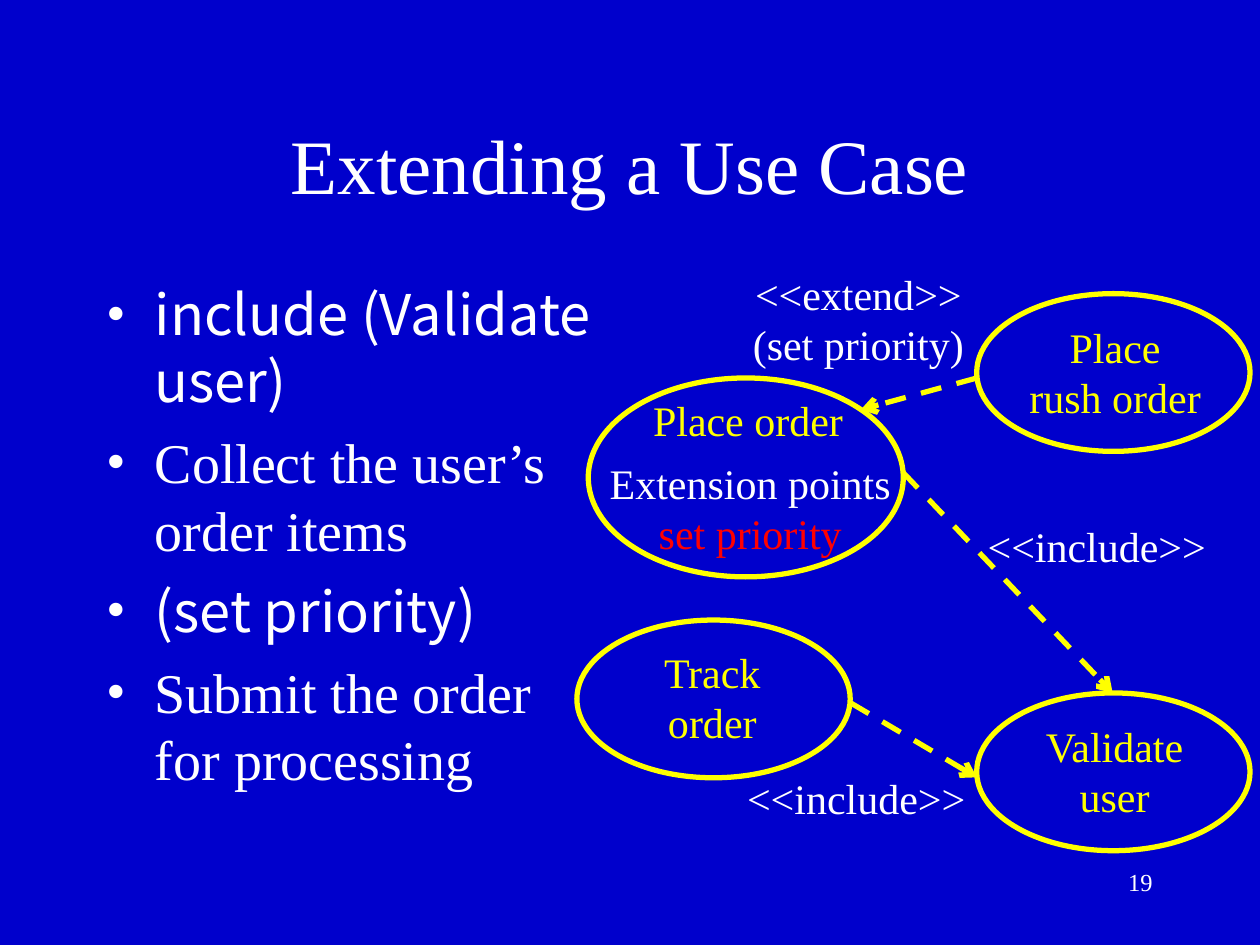
from lxml import etree
from pptx import Presentation
from pptx.dml.color import RGBColor
from pptx.enum.dml import MSO_LINE
from pptx.enum.shapes import MSO_CONNECTOR, MSO_SHAPE
from pptx.enum.text import MSO_ANCHOR, MSO_AUTO_SIZE, PP_ALIGN
from pptx.oxml.ns import qn
from pptx.util import Cm, Pt

LEFT, MID, RIGHT = PP_ALIGN.LEFT, PP_ALIGN.CENTER, PP_ALIGN.RIGHT
TOP, MIDDLE = MSO_ANCHOR.TOP, MSO_ANCHOR.MIDDLE
FIXED, GROW = MSO_AUTO_SIZE.NONE, MSO_AUTO_SIZE.SHAPE_TO_FIT_TEXT
OVAL, LINE, DASH = MSO_SHAPE.OVAL, MSO_CONNECTOR.STRAIGHT, MSO_LINE.DASH
HUES = {"back": "0000CC", "text": "FFFFFF", "case": "FFFF00", "point": "FF0000"}
SERIF, SANS = "Times New Roman", "Noto Sans CJK KR"


class Deck:
    """Draw use case elements on the current slide in one style."""

    def __init__(self):
        self.prs = Presentation()
        self.prs.slide_width, self.prs.slide_height = Cm(25.4), Cm(19.05)
        self.slide = self.prs.slides.add_slide(self.prs.slide_layouts[6])
        fill = self.slide.background.fill
        fill.solid()
        fill.fore_color.rgb = self.hue("back")

    def hue(self, name):
        return RGBColor.from_string(HUES[name])

    def pen(self, line):
        line.color.rgb = self.hue("case")
        line.width = Pt(3)

    def text(self, box, rows, size=24, align=MID, anchor=TOP, wrap=False, dots=False):
        frame = self.slide.shapes.add_textbox(*map(Cm, box)).text_frame
        frame.word_wrap = wrap
        frame.auto_size = FIXED if wrap else GROW
        frame.vertical_anchor = anchor
        for i, (words, hue, face) in enumerate(rows):
            para = frame.paragraphs[0] if i == 0 else frame.add_paragraph()
            if dots:
                self.dot(para)
                para.space_before = Pt(8 if i else 0)
            para.alignment = align
            para.line_spacing = Pt(round(size * 1.2, 1))
            run = para.add_run()
            run.text = words
            run.font.name = face
            run.font.size = Pt(size)
            run.font.color.rgb = self.hue(hue)

    def dot(self, para):
        props = para._p.get_or_add_pPr()
        props.set("marL", str(Cm(0.97)))
        props.set("indent", str(-Cm(0.97)))
        tint = etree.SubElement(props, qn("a:buClr"))
        etree.SubElement(tint, qn("a:srgbClr"), val=HUES["text"])
        etree.SubElement(props, qn("a:buFont"), typeface=SERIF)
        etree.SubElement(props, qn("a:buChar"), char="•")

    def label(self, left, top, width, rows, hue="text", align=MID):
        height = 1.27 if len(rows) == 1 else 2.29
        rows = [(row, hue, SERIF) for row in rows]
        self.text((left, top, width, height), rows, align=align)

    def oval(self, left, top, width=5.51, height=3.18):
        shape = self.slide.shapes.add_shape(OVAL, *map(Cm, (left, top, width, height)))
        shape.shadow.inherit = False
        shape.fill.background()
        self.pen(shape.line)

    def arrow(self, *ends):
        link = self.slide.shapes.add_connector(LINE, *map(Cm, ends))
        self.pen(link.line)
        link.line.dash_style = DASH
        etree.SubElement(link.line._get_or_add_ln(), qn("a:tailEnd"), type="arrow")
        etree.SubElement(link._element.spPr, qn("a:effectLst"))

    def save(self):
        self.prs.save("out.pptx")


def main():
    deck = Deck()
    deck.text((1.9, 1.7, 21.6, 3.18), [("Extending a Use Case", "text", SERIF)],
              size=44, anchor=MIDDLE, wrap=True)
    steps = [
        ("include (Validate user)", "text", SANS),
        ("Collect the user’s order items", "text", SERIF),
        ("(set priority)", "text", SANS),
        ("Submit the order for processing", "text", SERIF),
    ]
    deck.text((1.9, 5.51, 10.59, 11.43), steps, size=32, align=LEFT, wrap=True, dots=True)

    deck.oval(11.86, 7.62, 6.35, 4.01)
    for spot in ((19.69, 5.92), (11.63, 12.5), (19.69, 13.97)):
        deck.oval(*spot)

    deck.label(12.9, 7.82, 4.36, ["Place order"], "case")
    deck.label(20.48, 6.35, 4, ["Place", "rush order"], "case")
    deck.label(13.11, 12.9, 2.5, ["Track", "order"], "case")
    deck.label(20.76, 14.4, 3.42, ["Validate", "user"], "case")
    deck.text((12.02, 9.09, 6.21, 2.29),
              [("Extension points", "text", SERIF), ("set priority", "point", SERIF)])

    deck.arrow(19.69, 7.62, 17.35, 8.26)
    deck.arrow(17.15, 14.17, 19.69, 15.67)
    deck.arrow(18.21, 9.53, 22.43, 13.97)
    deck.label(14.88, 5.28, 4.85, ["<<extend>>", "(set priority)"])
    for left, top in ((14.81, 15.44), (19.66, 10.36)):
        deck.label(left, top, 5, ["<<include>>"], align=LEFT)

    deck.text((18.21, 17.35, 5.28, 1.27), [("19", "text", SERIF)],
              size=14, align=RIGHT, wrap=True)
    deck.save()


if __name__ == "__main__":
    main()
